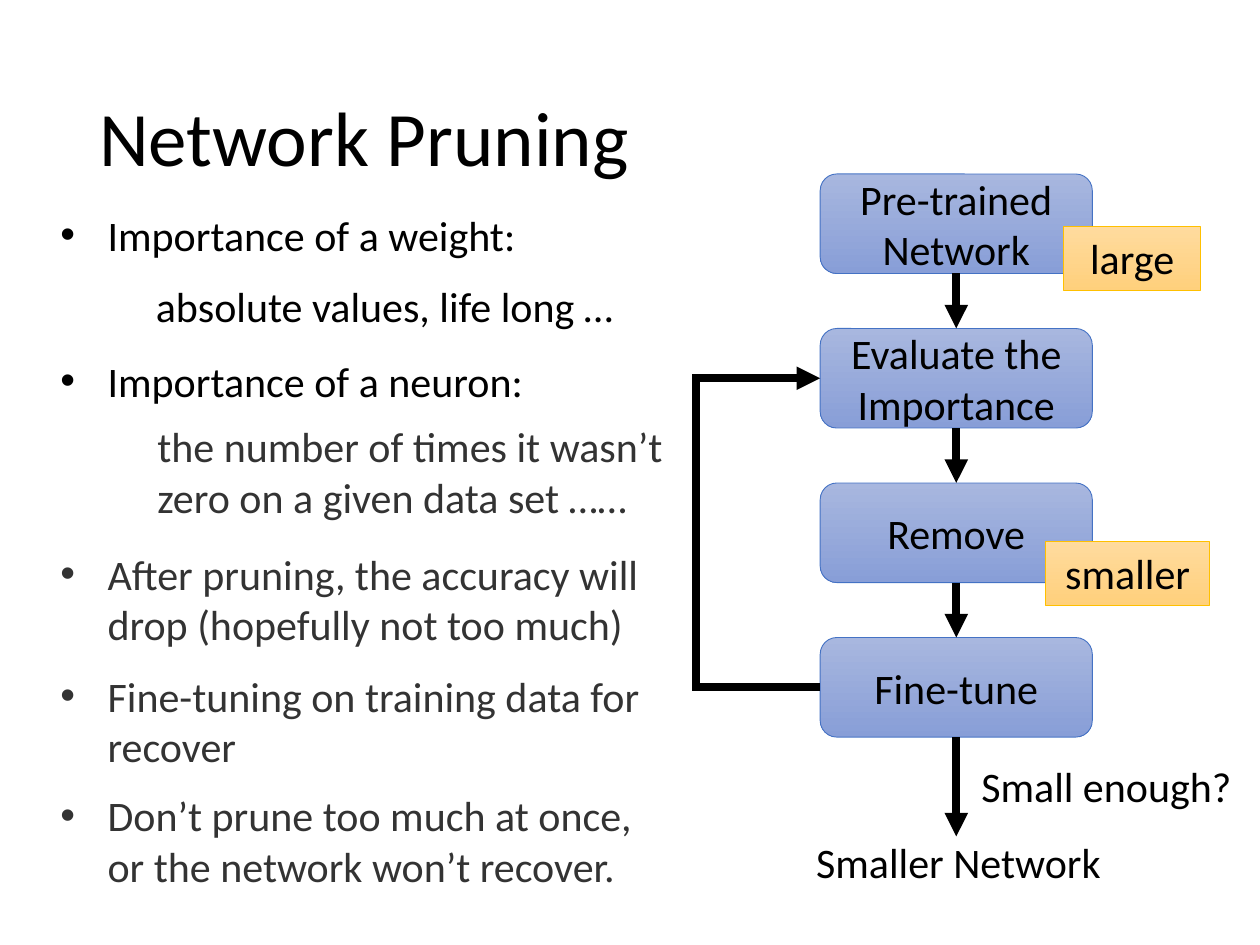
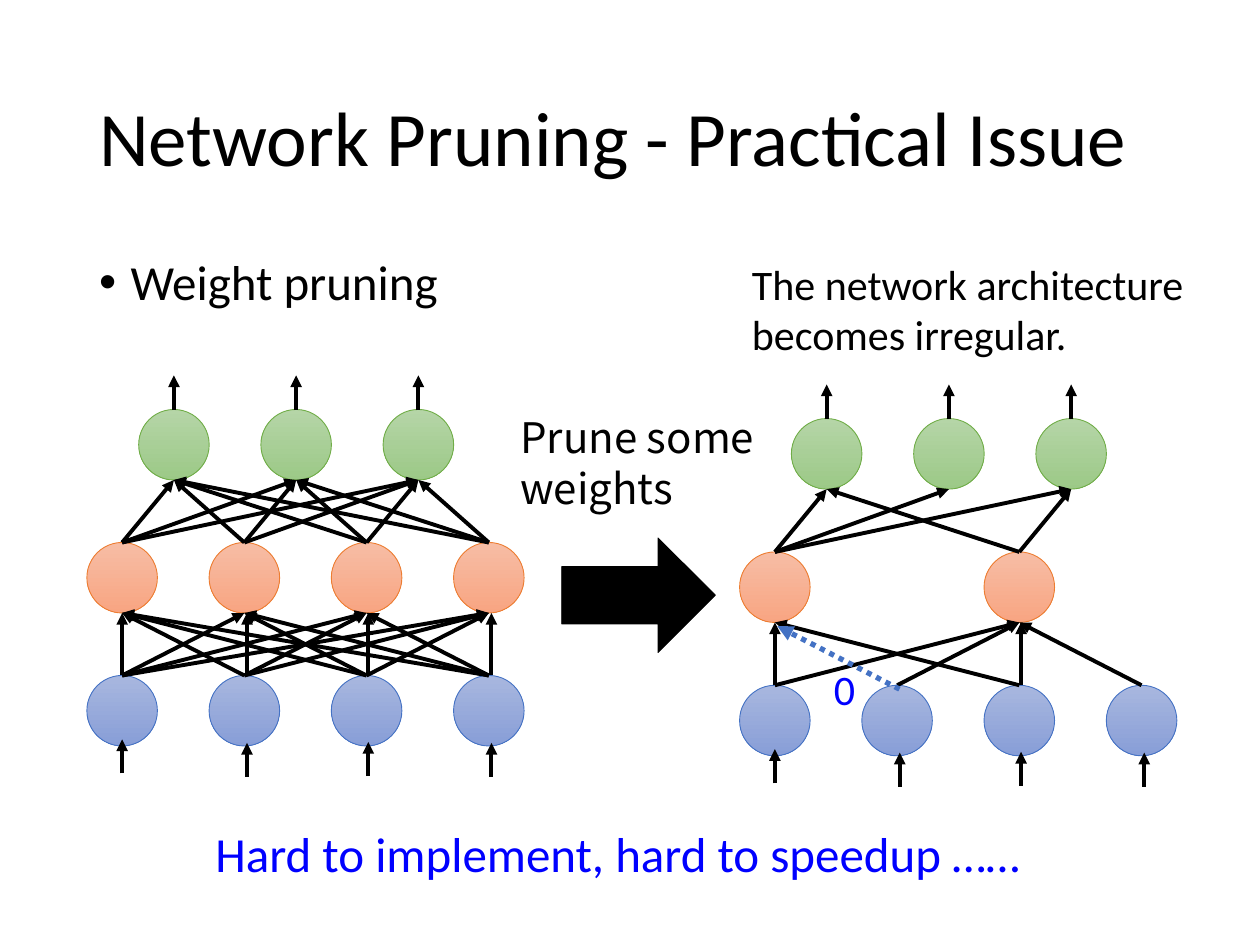
from itertools import product

from lxml.etree import SubElement
from pptx import Presentation
from pptx.dml.color import RGBColor as RGB
from pptx.enum.dml import MSO_LINE as DASH
from pptx.enum.shapes import MSO_CONNECTOR as LINK, MSO_SHAPE as KIND
from pptx.enum.text import MSO_ANCHOR as ANCHOR, MSO_AUTO_SIZE as FIT, PP_ALIGN as ALIGN
from pptx.oxml.ns import qn
from pptx.util import Pt

BLACK = RGB(0, 0, 0)
GREY = RGB(0x33, 0x33, 0x33)
VIVID = RGB(0, 0, 0xFF)
STEEL = RGB(0x44, 0x72, 0xC4)

# Each look: gradient top, gradient bottom, outline
BLUE = RGB(0xA8, 0xB7, 0xDF), RGB(0x88, 0x9E, 0xD7), STEEL
CORAL = RGB(0xF7, 0xBD, 0xA5), RGB(0xF8, 0xA5, 0x82), RGB(0xED, 0x7D, 0x31)
GREEN = RGB(0xB5, 0xD5, 0xA7), RGB(0x9C, 0xC9, 0x87), RGB(0x70, 0xAD, 0x47)
GOLD = RGB(0xFF, 0xDB, 0x9E), RGB(0xFF, 0xD0, 0x7C), RGB(0xFF, 0xC0, 0)

FONT = "Calibri"
CJK = "Noto Sans CJK SC"

NODE = 40.3    # node diameter
STEP = 69.85   # gap between node centres
NUDGE = (0, 1.5, 1, 1.5)   # small shifts of the input arrows
DROP = (0, 2, 1.5, 2)


def write(frame, words, size=24, color=BLACK, font=FONT, align=ALIGN.LEFT,
          anchor=ANCHOR.TOP, bullet=0, space=None, before=0):
    """Fill a text frame; bullet is the hanging indent, 0 for none."""
    frame.text = words
    frame.word_wrap = True
    frame.auto_size = FIT.NONE
    frame.vertical_anchor = anchor
    for para in frame.paragraphs:
        para.alignment = align
        para.space_before = Pt(before)
        if space:
            para.line_spacing = space
        para.font.size = Pt(size)
        for run in para.runs:
            run.font.size = Pt(size)
            run.font.name = font
            run.font.color.rgb = color
        if bullet:
            props = para._p.get_or_add_pPr()
            props.set("marL", str(Pt(bullet)))
            props.set("indent", str(-Pt(bullet)))
            SubElement(props, qn("a:buFont"), typeface="Arial")
            SubElement(props, qn("a:buChar"), char="•")


def label(slide, words, x, y, w, h, **style):
    box = slide.shapes.add_textbox(Pt(x), Pt(y), Pt(w), Pt(h))
    write(box.text_frame, words, **style)


def start(deck, words):
    """Add a title-only slide with its title."""
    slide = deck.slides.add_slide(deck.slide_layouts[5])
    title = slide.shapes.title
    title.left, title.top, title.width, title.height = map(Pt, (49.5, 28.8, 621, 104.4))
    write(title.text_frame, words, size=44, anchor=ANCHOR.MIDDLE, space=0.9)
    return slide


def shape(slide, kind, x, y, w, h, look, words="", anchor=ANCHOR.MIDDLE):
    item = slide.shapes.add_shape(kind, Pt(x), Pt(y), Pt(w), Pt(h))
    item.shadow.inherit = False
    top, base, edge = look
    if top == base:
        item.fill.solid()
        item.fill.fore_color.rgb = top
    else:
        item.fill.gradient()
        item.fill.gradient_angle = 270
        for stop, color in zip(item.fill.gradient_stops, (top, base)):
            stop.color.rgb = color
    item.line.color.rgb = edge
    item.line.width = Pt(0.5)
    if words:
        write(item.text_frame, words, align=ALIGN.CENTER, anchor=anchor)
    return item


def line(slide, a, b, width=2.25, color=BLACK, head=True, dash=None):
    """Draw a line from point a to point b, with an arrowhead at b."""
    link = slide.shapes.add_connector(LINK.STRAIGHT, *map(Pt, (*a, *b)))
    link.line.color.rgb = color
    link.line.width = Pt(width)
    if dash:
        link.line.dash_style = dash
    props = link._element.spPr
    if head:
        SubElement(props.find(qn("a:ln")), qn("a:tailEnd"), type="triangle")
    SubElement(props, qn("a:effectLst"))
    return link


def flow(slide):
    """Draw the pruning loop: four steps, their arrows and the way back."""
    left, top, wide, high, pitch = 468.7, 99.4, 155.5, 56.9, 88.3
    mid, back = left + wide / 2, 397.5
    names = "Pre-trained\nNetwork", "Evaluate the Importance", "Remove", "Fine-tune"
    steps = [shape(slide, KIND.ROUNDED_RECTANGLE, left, top + i * pitch, wide, high, BLUE, name)
             for i, name in enumerate(names)]
    for i, step in enumerate(steps):
        foot = top + i * pitch + high
        last = step is steps[-1]
        link = line(slide, (mid, foot), (mid, 478 if last else foot + pitch - high), 4.5)
        link.begin_connect(step, 2)
        if not last:
            link.end_connect(steps[i + 1], 0)
    high_y, low_y = (top + i * pitch + high / 2 for i in (1, 3))
    line(slide, (back, high_y - 2.25), (back, low_y + 2.25), 4.5, head=False)
    line(slide, (left, low_y), (back, low_y), 4.5, head=False).begin_connect(steps[3], 1)
    line(slide, (back, high_y), (left, high_y), 4.5).end_connect(steps[1], 1)


def net(slide, x, y, pitch, hidden, low, high):
    """Draw a net from its first input centre x and output top y.

    hidden lists the kept hidden nodes; low and high list the (from, to) edges.
    """
    cols = [x + i * STEP for i in range(4)]
    outs = [x + 29.6 + i * STEP for i in range(3)]
    mid_y, in_y = y + pitch, y + 2 * pitch
    rows = (cols, in_y, BLUE), ([cols[i] for i in hidden], mid_y, CORAL), (outs, y, GREEN)
    for spots, row_y, look in rows:
        for spot in spots:
            shape(slide, KIND.OVAL, spot - NODE / 2, row_y, NODE, NODE, look)
    for a, b in low:
        shift = NUDGE[a] if a == b else 0
        line(slide, (cols[a] + shift, in_y), (cols[b] + shift, mid_y + NODE))
    for a, b in high:
        line(slide, (cols[a], mid_y), (outs[b], y + NODE))
    for col, shift, drop in zip(cols, NUDGE, DROP):
        foot = in_y + 56 + drop
        line(slide, (col + shift, foot), (col + shift, foot - 19.5))
    for out in outs:
        line(slide, (out, y), (out, y - 19.5))


def steps_slide(deck):
    slide = start(deck, "Network Pruning")
    flow(slide)
    label(slide, "Smaller Network", 445.5, 474.5, 204.5, 36, align=ALIGN.CENTER)
    label(slide, "Small enough?", 553.7, 431.3, 182, 36)
    for words, x, y, w in (("large", 607.7, 129.6, 78.5), ("smaller", 597.6, 309.6, 93.6)):
        shape(slide, KIND.RECTANGLE, x, y, w, 36.4, GOLD, words, ANCHOR.TOP)
    points = (
        ("Importance of a weight:", 116, 36, BLACK),
        ("Importance of a neuron:", 199.4, 36, BLACK),
        ("After pruning, the accuracy will drop (hopefully not too much)", 309.6, 65.4, GREY),
        ("Fine-tuning on training data for recover", 379.4, 65.4, GREY),
        ("Don’t prune too much at once, or the network won’t recover.", 447.8, 65.4, GREY),
    )
    for words, y, h, color in points:
        label(slide, words, 27.4, y, 360, h, color=color, bullet=27)
    label(slide, "absolute values, life long …", 82, 157, 344, 36)
    label(slide, "the number of times it wasn’t zero on a given data set ……",
          82.8, 236.9, 337.7, 65.4, color=GREY)


def issue_slide(deck):
    slide = start(deck, "Network Pruning - Practical Issue")
    label(slide, "Weight pruning", 49.5, 144, 300, 50, size=28, bullet=18, space=0.9, before=10)
    net(slide, 69.8, 234, 76, range(4), product(range(4), repeat=2),
        product(range(4), range(3)))
    shape(slide, KIND.RIGHT_ARROW, 321, 307.4, 87.8, 65.5, (BLACK, BLACK, BLACK))
    net(slide, 442.8, 239.2, 76.2, (0, 2),
        ((0, 0), (2, 2), (0, 2), (1, 2), (2, 0), (3, 2)),
        ((0, 0), (0, 1), (0, 2), (2, 0), (2, 2)))
    label(slide, "Prune some weights", 290.2, 231.8, 162, 65.5, font=CJK)
    label(slide, "The network architecture becomes irregular.", 422.6, 144, 265, 65.5)
    label(slide, "Hard to implement, hard to speedup ……", 116, 467.3, 503.3, 41,
          size=28, color=VIVID)
    line(slide, (514, 393.8), (444.2, 357.8), 3, STEEL, dash=DASH.ROUND_DOT)
    label(slide, "0", 465, 375.8, 35.3, 36, color=VIVID, align=ALIGN.CENTER)


def main():
    deck = Presentation()
    deck.slide_width, deck.slide_height = Pt(720), Pt(540)
    steps_slide(deck)
    issue_slide(deck)
    deck.save("out.pptx")


if __name__ == "__main__":
    main()
